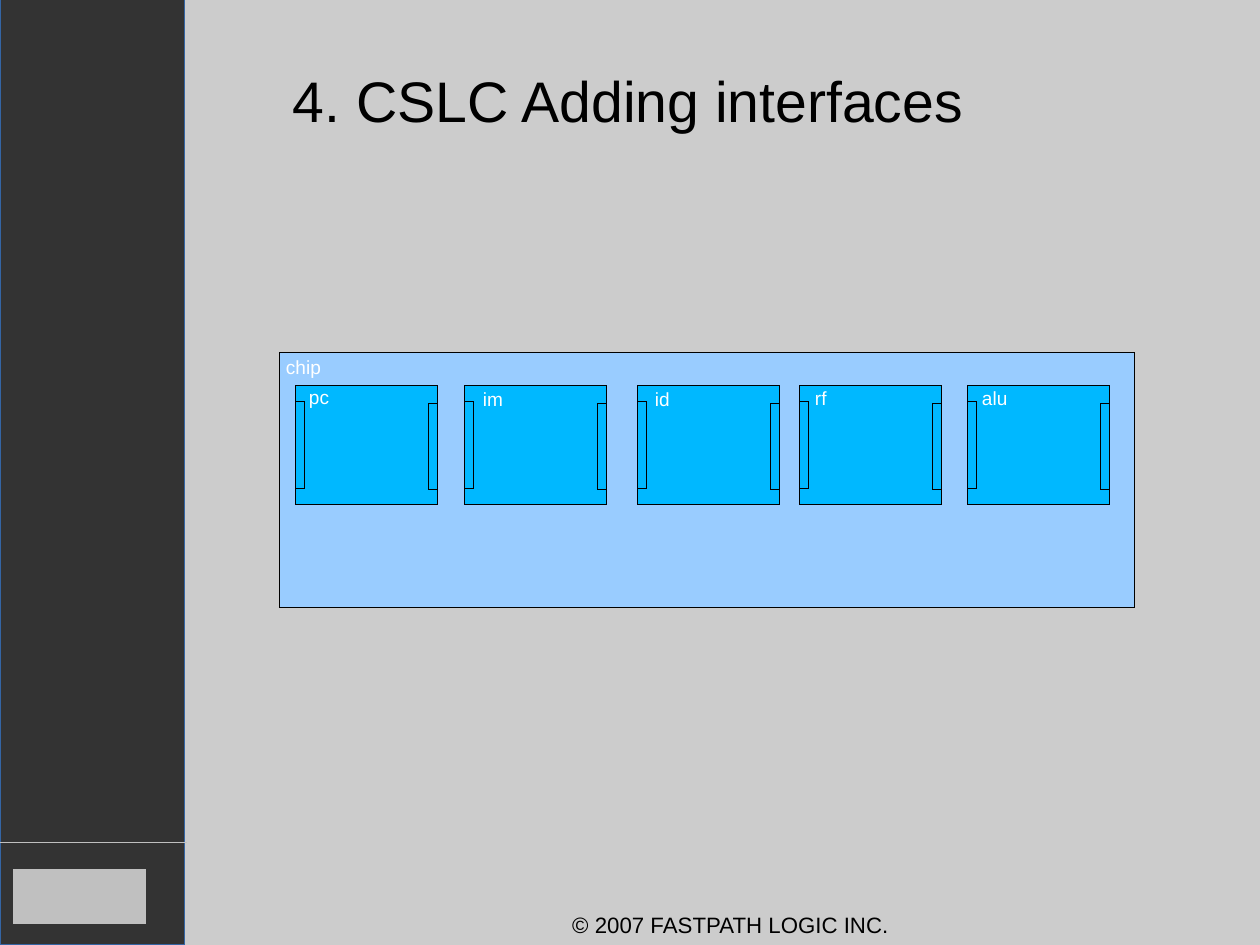
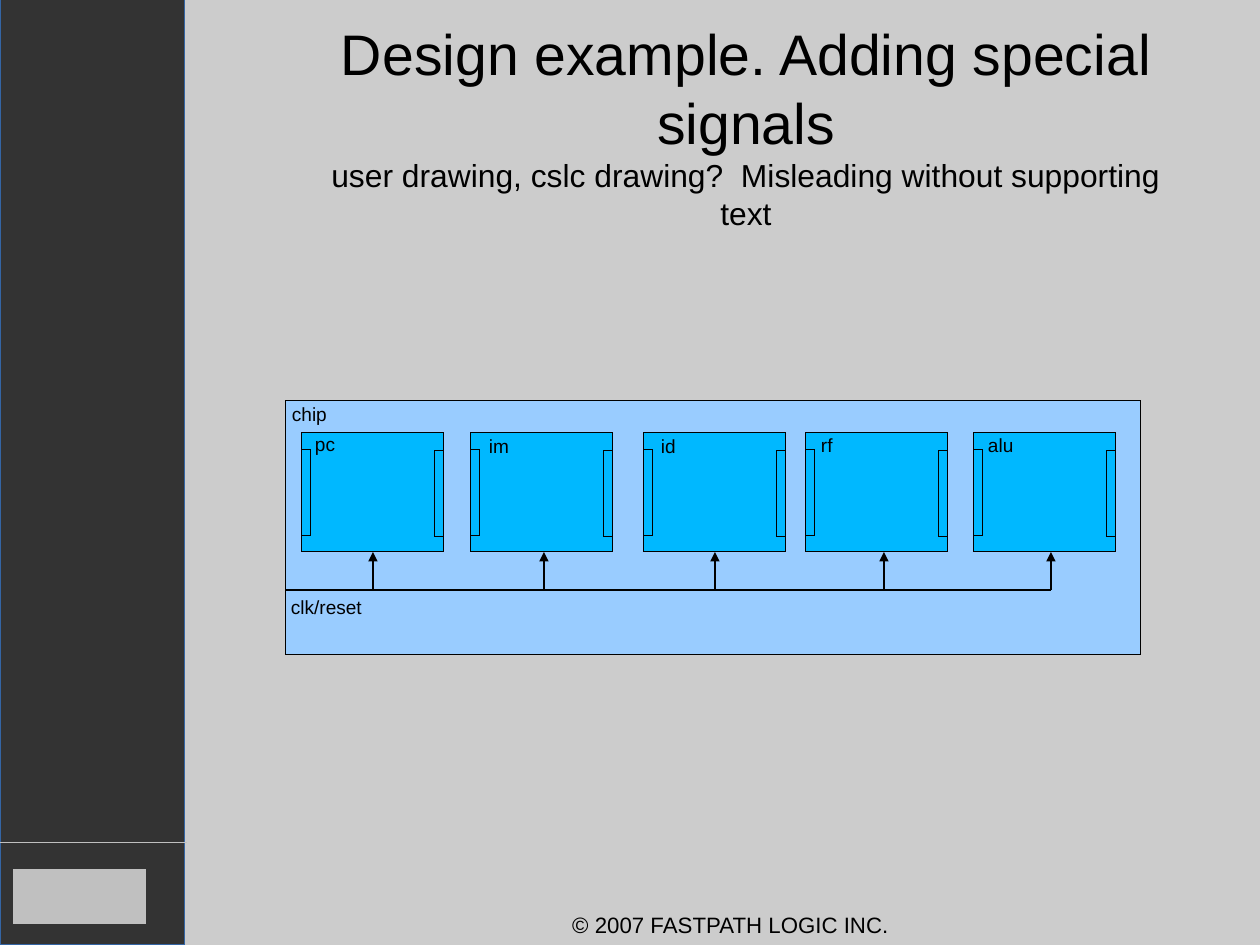
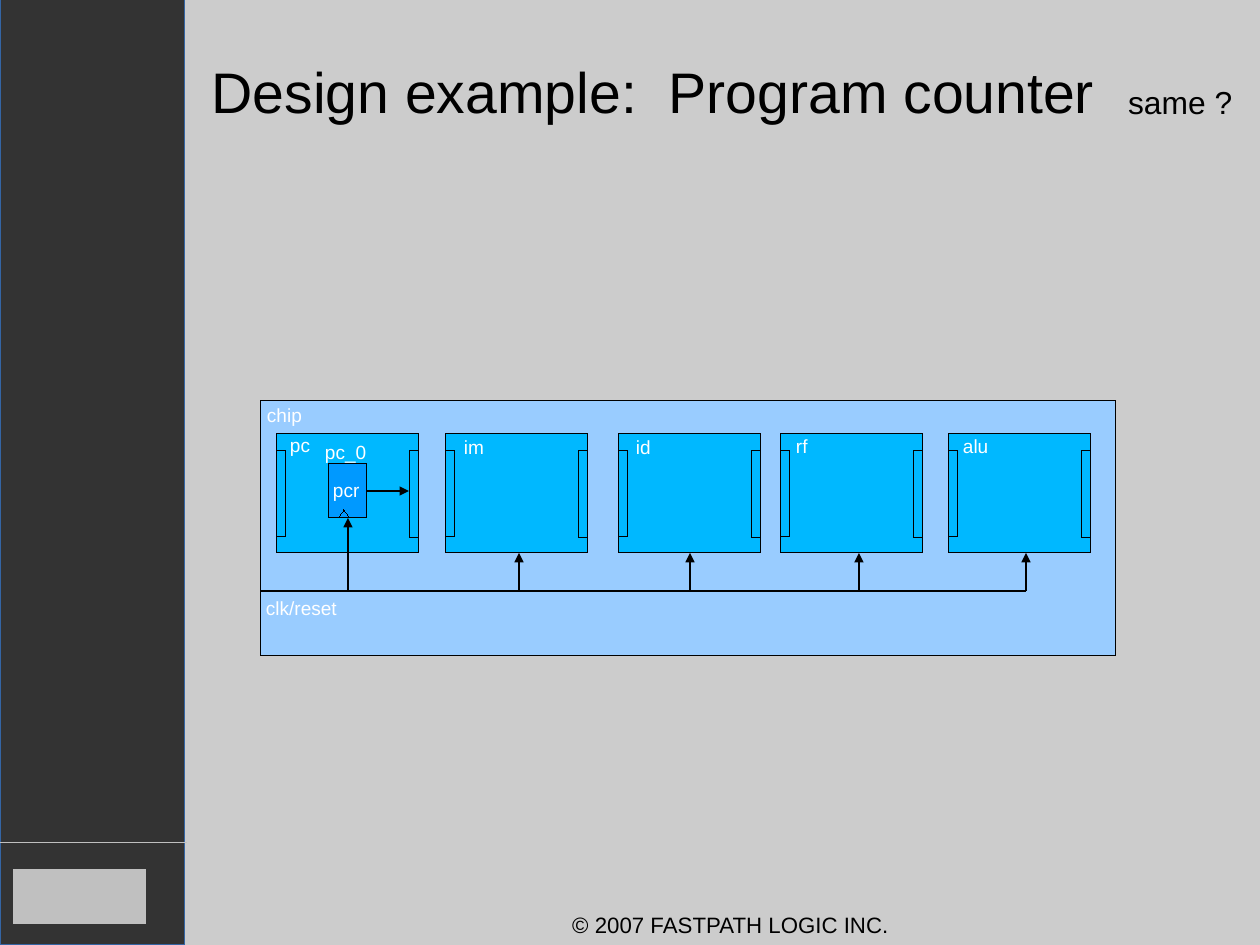
import dataclasses

import pptx
import pptx.dml.color
import pptx.enum.shapes
import pptx.enum.text
import pptx.oxml.ns
import pptx.util

PX = 8000
KIND = pptx.enum.shapes.MSO_SHAPE
ALIGN = pptx.enum.text.PP_ALIGN
ANCHOR = pptx.enum.text.MSO_ANCHOR


@dataclasses.dataclass(frozen=True)
class Theme:
    """Colours, font, type sizes and line widths of the deck."""
    page: str = "CCCCCC"
    band: str = "333333"
    edge: str = "3465A4"
    mark: str = "C0C0C0"
    ink: str = "000000"
    white: str = "FFFFFF"
    chip: str = "99CCFF"
    block: str = "00B8FF"
    reg: str = "0099FF"
    font: str = "Arial"
    title: int = 36
    note: int = 20
    label: int = 12
    foot: int = 14
    hair: float = 0.01
    wire: float = 0.71


@dataclasses.dataclass(frozen=True)
class Block:
    """A unit of the chip: its name, left edge, label offset and tap shift."""
    name: str
    left: int
    text_x: int
    text_y: int
    shift: int


THEME = Theme()
WIDE, HIGH = 1260, 945
CHIP_W, CHIP_H = 855, 255
BLOCK_Y, BLOCK_W, BLOCK_H = 33, 142, 119
PORT_W, PORT_H = 9, 87
BUS_Y = 190
BLOCKS = [
    Block("pc", 16, 1, -7, 0),
    Block("im", 185, 6, -5, 2),
    Block("id", 358, 5, -5, 0),
    Block("rf", 520, 3, -6, 7),
    Block("alu", 688, 2, -6, 6),
]


def px(count):
    """Turn pixels into EMU."""
    return pptx.util.Emu(count * PX)


def rgb(code):
    """Turn a hex code into a colour."""
    return pptx.dml.color.RGBColor.from_string(code)


def apply(thing, values):
    """Set each named value on an object."""
    for name, value in values.items():
        setattr(thing, name, value)


def add(root, tag, **values):
    """Append an empty XML element with the given attributes."""
    root.append(root.makeelement(pptx.oxml.ns.qn(tag), values))


def box(slide, x, y, w, h, fill, line=THEME.ink, kind=KIND.RECTANGLE):
    """Draw a filled shape with a hairline."""
    shape = slide.shapes.add_shape(kind, px(x), px(y), px(w), px(h))
    shape.shadow.inherit = False
    shape.fill.solid()
    shape.fill.fore_color.rgb = rgb(fill)
    shape.line.color.rgb = rgb(line)
    shape.line.width = pptx.util.Pt(THEME.hair)
    return shape


def wire(slide, start, end, color=THEME.ink, width=THEME.wire, head=False):
    """Draw a straight line, with an arrowhead if asked."""
    line = slide.shapes.add_connector(
        pptx.enum.shapes.MSO_CONNECTOR.STRAIGHT,
        *[px(value) for value in (*start, *end)])
    line.line.color.rgb = rgb(color)
    line.line.width = pptx.util.Pt(width)
    props = line._element.spPr
    if head:
        add(props.find(pptx.oxml.ns.qn("a:ln")), "a:tailEnd",
            type="triangle")
    add(props, "a:effectLst")
    return line


def text(slide, x, y, w, h, rows, color=THEME.ink, align=ALIGN.LEFT,
         anchor=ANCHOR.TOP, inset=(12, 6)):
    """Write rows of (words, size) as one paragraph with line breaks."""
    frame = slide.shapes.add_textbox(px(x), px(y), px(w), px(h)).text_frame
    side, top = map(px, inset)
    apply(frame, {"word_wrap": True, "vertical_anchor": anchor,
                  "margin_left": side, "margin_right": side,
                  "margin_top": top, "margin_bottom": top})
    para = frame.paragraphs[0]
    para.alignment = align
    for count, (words, size) in enumerate(rows):
        if count:
            para.add_line_break()
        run = para.add_run()
        run.text = words
        apply(run.font, {"name": THEME.font, "size": pptx.util.Pt(size)})
        run.font.color.rgb = rgb(color)


def title(slide, x, y, w, h, *rows):
    """Write a slide title in the middle of its box."""
    text(slide, x, y, w, h, rows, align=ALIGN.CENTER, anchor=ANCHOR.MIDDLE,
         inset=(0, 0))


def label(slide, x, y, words, color, w=70):
    """Write a small label."""
    text(slide, x, y, w, 40, [(words, THEME.label)], color)


def page(deck):
    """Add a slide with the side band, plain corner shape and footer."""
    slide = deck.slides.add_slide(deck.slide_layouts[6])
    box(slide, 0, 0, 185, HIGH, THEME.band, THEME.edge)
    box(slide, 14, 870, 132, 54, THEME.mark, THEME.mark)
    wire(slide, (0, 843), (187, 843), THEME.mark, THEME.hair)
    text(slide, 435, 905, 591, 39,
         [("© 2007 FASTPATH LOGIC INC.", THEME.foot)], align=ALIGN.CENTER)
    return slide


def chip(slide, x, y, color):
    """Draw the chip with its blocks and ports, and return the blocks."""
    box(slide, x, y, CHIP_W, CHIP_H, THEME.chip)
    label(slide, x - 6, y - 4, "chip", color)
    units = []
    for block in BLOCKS:
        left, top = x + block.left, y + BLOCK_Y
        units.append(box(slide, left, top, BLOCK_W, BLOCK_H, THEME.block))
        for port_x, port_y in ((0, 16), (BLOCK_W - PORT_W, 17)):
            box(slide, left + port_x, top + port_y, PORT_W, PORT_H,
                THEME.block)
        label(slide, left + block.text_x, top + block.text_y, block.name,
              color)
    return units


def clock(slide, x, y, color, ends):
    """Draw the clock bus and an arrow up to each end shape."""
    taps = [x + block.left + BLOCK_W // 2 + block.shift for block in BLOCKS]
    bus = y + BUS_Y
    wire(slide, (x, bus), (taps[-1], bus))
    label(slide, x - 7, bus - 1, "clk/reset", color, 110)
    for block, tap, end in zip(BLOCKS, taps, ends):
        line = wire(slide, (tap, bus), (tap, y + BLOCK_Y + BLOCK_H),
                    head=True)
        if not block.shift:
            line.end_connect(end, 2)


def counter(slide, x, y, color):
    """Draw the register inside the first block and return it."""
    reg = box(slide, x + 68, y + 63, 38, 54, THEME.reg)
    box(slide, x + 77, y + 109, 12, 8, THEME.reg,
        kind=KIND.FLOWCHART_EXTRACT)
    label(slide, x + 60, y + 71, "pcr", color)
    label(slide, x + 52, y + 33, "pc_0", color)
    line = wire(slide, (x + 106, y + 90), (x + 148, y + 90), head=True)
    line.begin_connect(reg, 3)
    return reg


def ports(deck):
    """Build the slide on interfaces."""
    slide = page(deck)
    title(slide, 90, 32, 1076, 135,
          ("4. CSLC Adding interfaces", THEME.title))
    chip(slide, 280, 353, THEME.white)


def signals(deck):
    """Build the slide on special signals."""
    slide = page(deck)
    title(slide, 326, 26, 840, 199,
          ("Design example. Adding special signals", THEME.title),
          ("user drawing, cslc drawing?  Misleading without supporting text",
           THEME.note))
    units = chip(slide, 286, 400, THEME.ink)
    clock(slide, 286, 400, THEME.ink, units)


def program(deck):
    """Build the slide on the program counter."""
    slide = page(deck)
    title(slide, 203, 23, 900, 135,
          ("Design example:  Program counter", THEME.title))
    text(slide, 1128, 83, 130, 38, [("same ?", THEME.note)], inset=(0, 0))
    units = chip(slide, 261, 401, THEME.white)
    reg = counter(slide, 261, 401, THEME.white)
    clock(slide, 261, 401, THEME.white, [reg, *units[1:]])


def main():
    """Build and save the deck."""
    deck = pptx.Presentation()
    apply(deck, {"slide_width": px(WIDE), "slide_height": px(HIGH)})
    fill = deck.slide_master.background.fill
    fill.solid()
    fill.fore_color.rgb = rgb(THEME.page)
    for build in (ports, signals, program):
        build(deck)
    deck.save("out.pptx")


if __name__ == "__main__":
    main()
